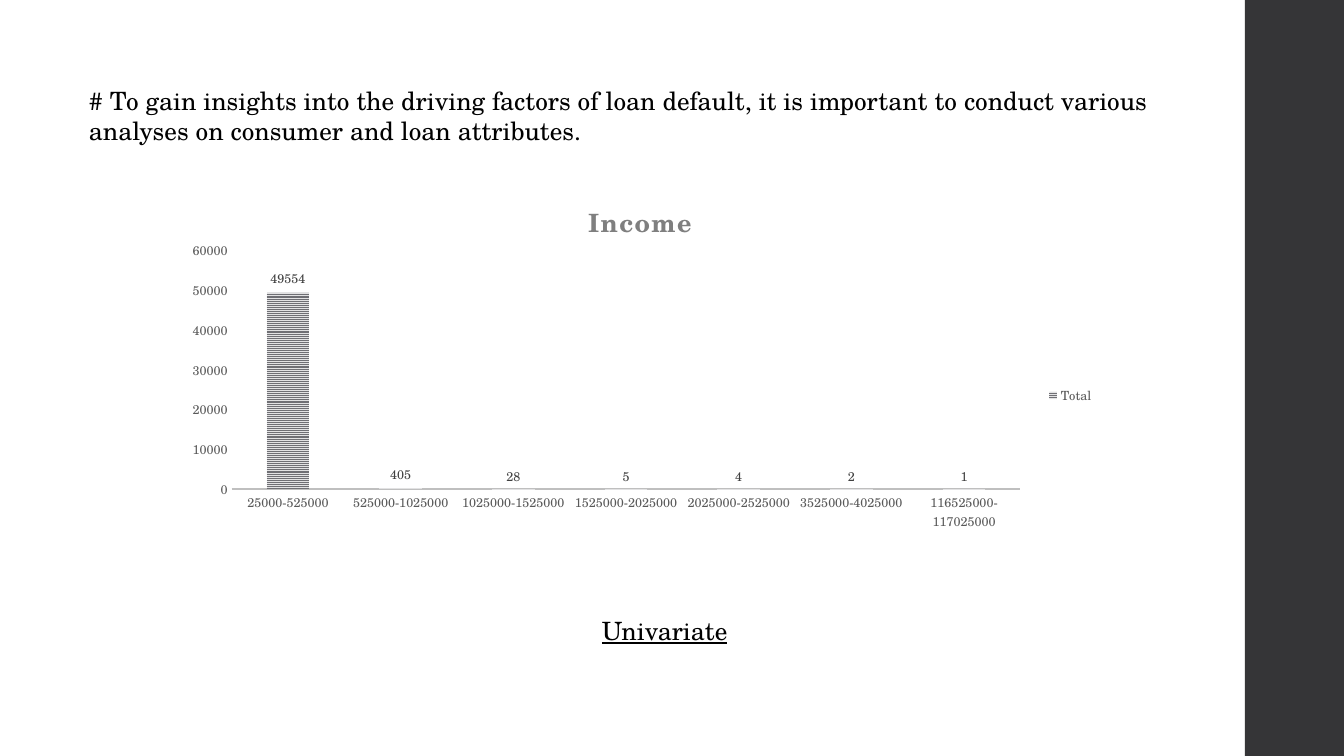
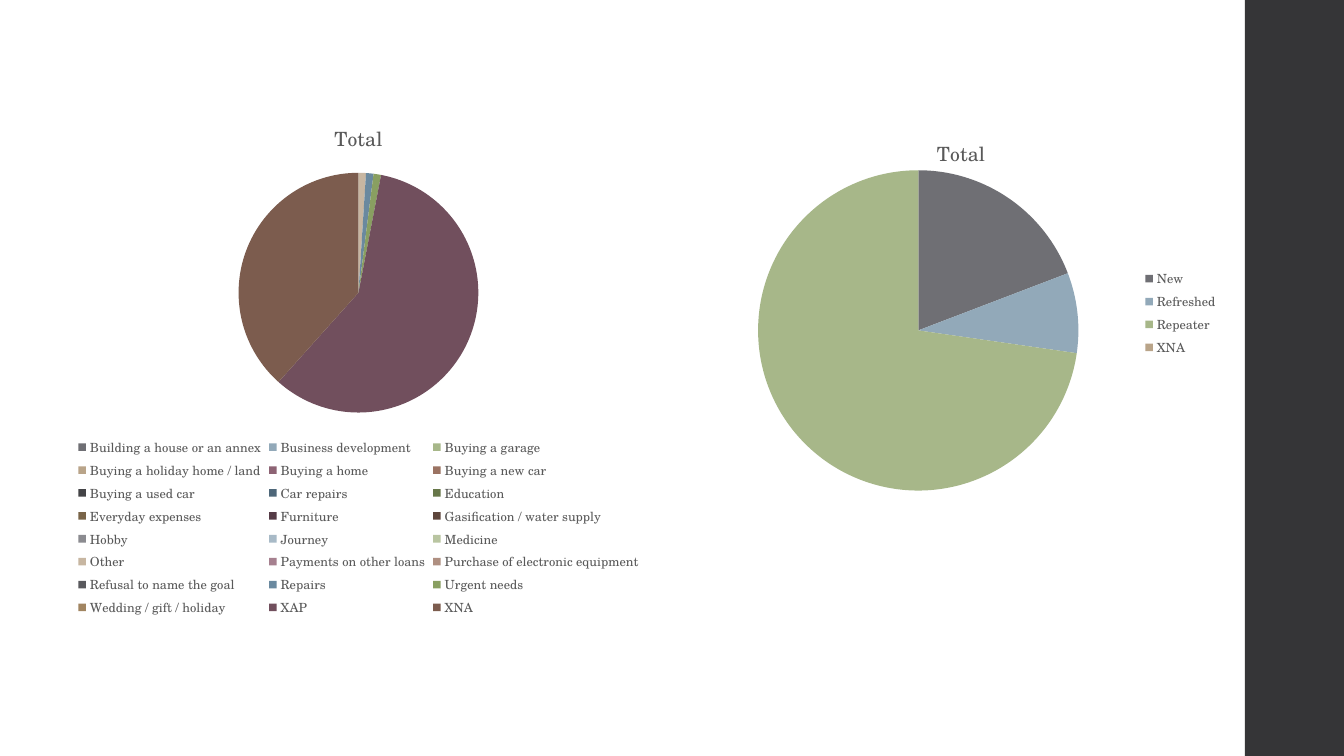
from lxml.etree import SubElement
from pptx import Presentation
from pptx.chart.data import CategoryChartData
from pptx.dml.color import RGBColor
from pptx.enum.chart import XL_CHART_TYPE as ChartType
from pptx.enum.chart import XL_LABEL_POSITION as LabelPosition
from pptx.enum.chart import XL_LEGEND_POSITION as LegendPosition
from pptx.enum.chart import XL_TICK_MARK as TickMark
from pptx.enum.dml import MSO_PATTERN as Pattern
from pptx.enum.shapes import MSO_SHAPE as Shape
from pptx.enum.text import MSO_AUTO_SIZE as AutoSize
from pptx.oxml.ns import qn
from pptx.util import Emu, Pt

SLIDE_W, SLIDE_H = 1344, 756
BAND_W = 99
FONT = "TeX Gyre Schola"
COLORS = {
    "band": "353537",
    "text": "000000",
    "muted": "595959",
    "label": "404040",
    "heading": "7F7F7F",
    "axis": "BFBFBF",
    "stripe": "6F6F74",
    "stripe_back": "E2E2E3",
}
SLICE_COLORS = (
    "6F6F74 92A9B9 A7B789 B9A489 8D6374 9B7362 434346 4E6779 "
    "677749 796448 553B46 5D453B 8B8B90 A8BAC7 B9C5A1 C7B6A1 "
    "A6808F AF8F81 59595D 6A899F 899F61 A18561 714F5D 7C5C4E"
).split()

INCOMES = {
    "25000-525000": 49554,
    "525000-1025000": 405,
    "1025000-1525000": 28,
    "1525000-2025000": 5,
    "2025000-2525000": 4,
    "3525000-4025000": 2,
    "116525000-117025000": 1,
}
LOAN_PURPOSES = {
    "Building a house or an annex": 0,
    "Business development": 0,
    "Buying a garage": 0,
    "Buying a holiday home / land": 0,
    "Buying a home": 0,
    "Buying a new car": 0,
    "Buying a used car": 0,
    "Car repairs": 0,
    "Education": 0,
    "Everyday expenses": 0,
    "Furniture": 0,
    "Gasification / water supply": 0,
    "Hobby": 0,
    "Journey": 0,
    "Medicine": 0,
    "Other": 1,
    "Payments on other loans": 0,
    "Purchase of electronic equipment": 0,
    "Refusal to name the goal": 0,
    "Repairs": 1,
    "Urgent needs": 1,
    "Wedding / gift / holiday": 0,
    "XAP": 58,
    "XNA": 38,
}
CLIENT_TYPES = {"New": 19, "Refreshed": 8, "Repeater": 72, "XNA": 0}


def px(length):
    return Emu(round(length * 914400 / 100.8))


def box(*lengths):
    return [px(length) for length in lengths]


def rgb(name):
    return RGBColor.from_string(COLORS[name])


def style_font(font, size, color):
    font.name = FONT
    font.size = Pt(size)
    font.color.rgb = rgb(color)


def add_banded_slide(prs):
    slide = prs.slides.add_slide(prs.slide_layouts[6])
    band = slide.shapes.add_shape(
        Shape.RECTANGLE, *box(SLIDE_W - BAND_W, 0, BAND_W, SLIDE_H))
    band.shadow.inherit = False
    band.fill.solid()
    band.fill.fore_color.rgb = rgb("band")
    band.line.fill.background()
    return slide


def add_text(slide, text, place, underline=False):
    frame = slide.shapes.add_textbox(*box(*place)).text_frame
    frame.word_wrap = True
    frame.auto_size = AutoSize.SHAPE_TO_FIT_TEXT
    frame.text = text
    font = frame.paragraphs[0].runs[0].font
    style_font(font, 18, "text")
    if underline:
        font.underline = True


def set_plot_layout(chart, x, y, w, h):
    """Fix the inner plot area, in fractions of the chart."""
    plot_area = chart._chartSpace.chart.plotArea
    for old in plot_area.findall(qn("c:layout")):
        plot_area.remove(old)
    layout = SubElement(plot_area, qn("c:layout"))
    plot_area.insert(0, layout)
    manual = SubElement(layout, qn("c:manualLayout"))
    settings = {"layoutTarget": "inner", "xMode": "edge", "yMode": "edge",
                "x": x, "y": y, "w": w, "h": h}
    for tag, value in settings.items():
        SubElement(manual, qn(f"c:{tag}")).set("val", str(value))


def add_total_chart(slide, kind, counts, place, title, legend_position):
    """Add a chart of one series, Total, and return it with its title font."""
    data = CategoryChartData()
    data.categories = list(counts)
    data.add_series("Total", list(counts.values()))
    chart = slide.shapes.add_chart(kind, *box(*place), data).chart
    style_font(chart.font, 10, "text")
    chart.has_title = True
    chart.chart_title.text_frame.text = title
    chart.chart_title.include_in_layout = False
    chart.has_legend = True
    chart.legend.position = legend_position
    chart.legend.include_in_layout = False
    style_font(chart.legend.font, 9, "muted")
    return chart, chart.chart_title.text_frame.paragraphs[0].runs[0].font


def style_axis(axis):
    axis.has_major_gridlines = False
    axis.major_tick_mark = TickMark.NONE
    axis.minor_tick_mark = TickMark.NONE
    style_font(axis.tick_labels.font, 9, "muted")


def add_striped_columns(slide, counts, place, title):
    chart, title_font = add_total_chart(
        slide, ChartType.COLUMN_CLUSTERED, counts, place, title,
        LegendPosition.RIGHT)
    style_font(title_font, 18, "heading")
    title_font.bold = True
    title_font._element.set("spc", "100")
    set_plot_layout(chart, 0.06, 0.16, 0.85, 0.56)

    for axis in (chart.category_axis, chart.value_axis):
        style_axis(axis)
    chart.category_axis.format.line.color.rgb = rgb("axis")
    chart.category_axis.format.line.width = Pt(1.5)
    chart.value_axis.format.line.fill.background()

    plot = chart.plots[0]
    plot.vary_by_categories = False
    plot.gap_width = 164
    plot.overlap = -22
    totals = plot.series[0]
    totals.invert_if_negative = False
    stripes = totals.format.fill
    stripes.patterned()
    stripes.pattern = Pattern.NARROW_HORIZONTAL
    stripes.fore_color.rgb = rgb("stripe")
    stripes.back_color.rgb = rgb("stripe_back")
    labels = totals.data_labels
    labels.show_value = True
    labels.position = LabelPosition.OUTSIDE_END
    style_font(labels.font, 9, "label")


def add_pie(slide, counts, place, legend_position):
    chart, title_font = add_total_chart(
        slide, ChartType.PIE, counts, place, "Total", legend_position)
    style_font(title_font, 14, "muted")
    title_font.bold = False
    points = chart.plots[0].series[0].points
    for index, color in enumerate(SLICE_COLORS[:len(counts)]):
        look = points[index].format
        look.fill.solid()
        look.fill.fore_color.rgb = RGBColor.from_string(color)
        look.line.fill.background()
    return chart


def main():
    prs = Presentation()
    prs.slide_width, prs.slide_height = box(SLIDE_W, SLIDE_H)

    income = add_banded_slide(prs)
    add_text(income,
             "# To gain insights into the driving factors of loan default, "
             "it is important to conduct various analyses on consumer and "
             "loan attributes.", (79, 80, 1095, 72))
    add_striped_columns(income, INCOMES, (176, 182, 928, 427), "Income")
    add_text(income, "Univariate", (592, 610, 161, 40), underline=True)

    shares = add_banded_slide(prs)
    add_pie(shares, LOAN_PURPOSES, (-24, 102, 765, 519),
            LegendPosition.BOTTOM)
    clients = add_pie(shares, CLIENT_TYPES, (694, 119, 534, 388),
                      LegendPosition.RIGHT)
    set_plot_layout(clients, 0.12, 0.13, 0.6, 0.83)

    prs.save("out.pptx")


if __name__ == "__main__":
    main()
